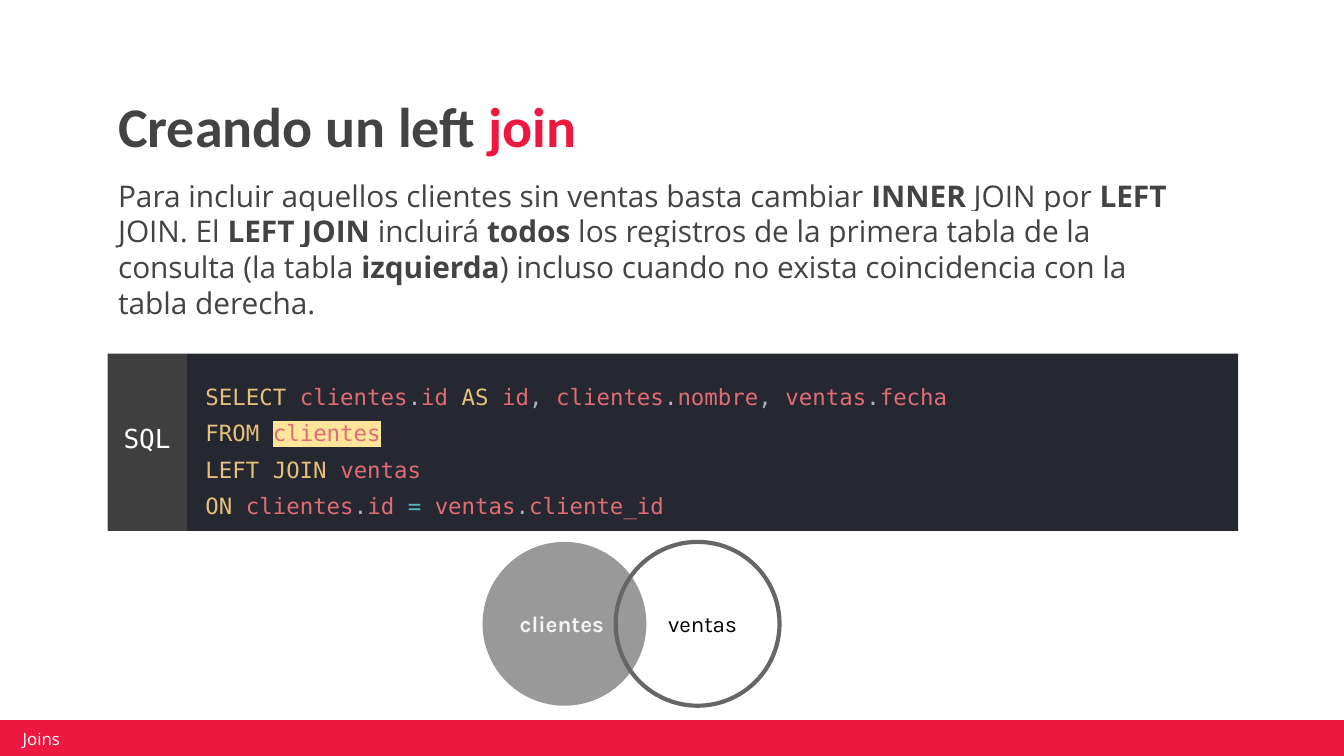
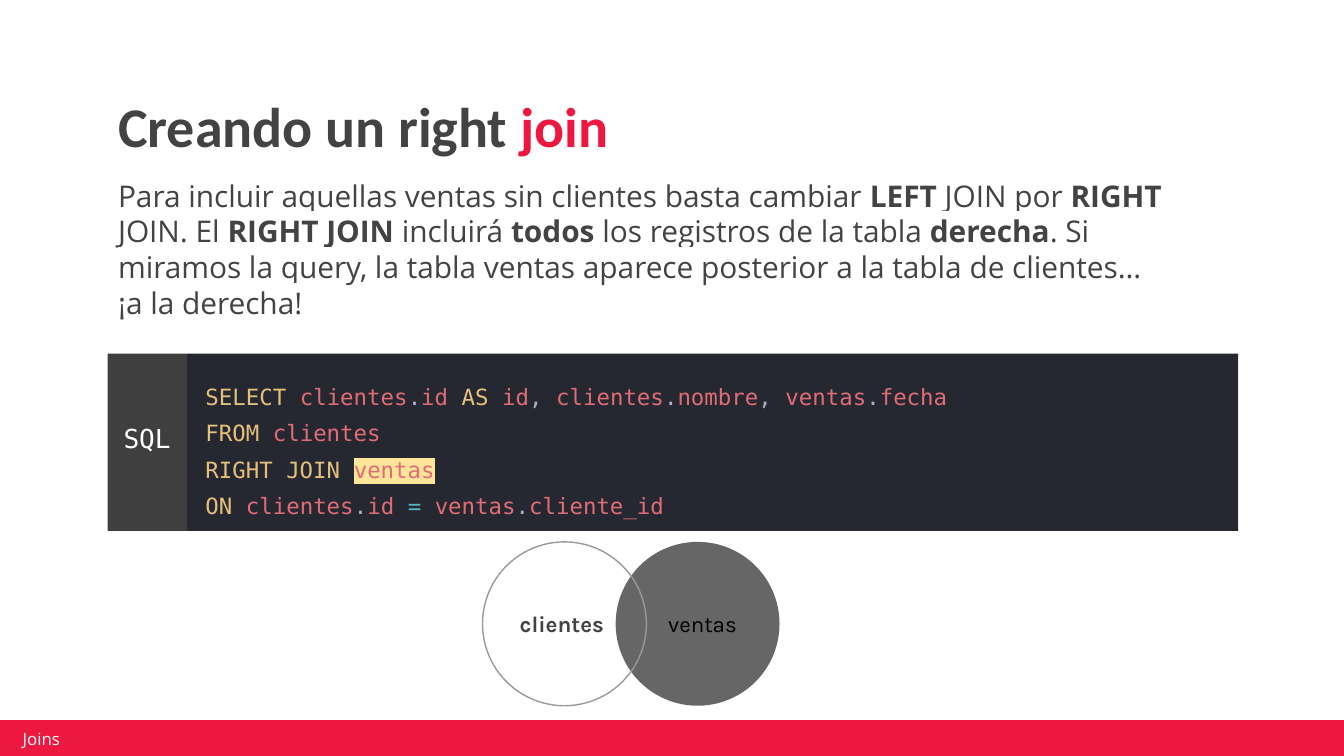
from lxml import etree
from pptx import Presentation
from pptx.dml.color import RGBColor
from pptx.enum.shapes import MSO_SHAPE
from pptx.enum.text import MSO_ANCHOR, PP_ALIGN
from pptx.oxml.ns import qn
from pptx.util import Pt

RECT, CIRCLE = MSO_SHAPE.RECTANGLE, MSO_SHAPE.FLOWCHART_CONNECTOR
TOP, MIDDLE, BOTTOM = MSO_ANCHOR.TOP, MSO_ANCHOR.MIDDLE, MSO_ANCHOR.BOTTOM
LEFT, CENTER, RIGHT = PP_ALIGN.LEFT, PP_ALIGN.CENTER, PP_ALIGN.RIGHT

WHITE = RGBColor(0xFF, 0xFF, 0xFF)
BLACK = RGBColor(0x00, 0x00, 0x00)
RED = RGBColor(0xEC, 0x18, 0x3F)
INK = RGBColor(0x43, 0x43, 0x43)
PALE = RGBColor(0xF3, 0xF3, 0xF3)
LIGHT_GRAY = RGBColor(0x99, 0x99, 0x99)
DARK_GRAY = RGBColor(0x66, 0x66, 0x66)
CODE_BG = RGBColor(0x26, 0x28, 0x31)
TAG_BG = RGBColor(0x3F, 0x3F, 0x3F)
KEYWORD = RGBColor(0xE5, 0xC0, 0x7B)
NAME = RGBColor(0xE0, 0x6C, 0x75)
PUNCT = RGBColor(0xAB, 0xB2, 0xBF)
OPERATOR = RGBColor(0x56, 0xB6, 0xC2)
MARKER = RGBColor(0xFF, 0xE5, 0x99)

HEAD, BODY, MONO, LABEL = "Calibri", "Open Sans", "DejaVu Sans Mono", "Karla"
INSETS = (7.2, 7.2, 7.2, 7.2)
CODE_TOP, CODE_H = 189.4, 95
CIRCLE_TOP, CIRCLE_D = 290.3, 87.8

# Code lines shared by both queries
SELECT_LINE = [
    ("SELECT ", KEYWORD), ("clientes", NAME), (".", PUNCT), ("id ", NAME),
    ("AS ", KEYWORD), ("id", NAME), (", ", PUNCT),
    ("clientes", NAME), (".", PUNCT), ("nombre", NAME), (", ", PUNCT),
    ("ventas", NAME), (".", PUNCT), ("fecha", NAME),
]
ON_LINE = [
    ("ON ", KEYWORD), ("clientes", NAME), (".", PUNCT), ("id ", NAME),
    ("= ", OPERATOR), ("ventas", NAME), (".", PUNCT), ("cliente_id", NAME),
]

# Asterisks enclose bold words; circles go from back to front:
# text, left, alignment, fill, line, line width, text colour, bold
SLIDES = [
    {
        "side": "left",
        "body": "Para incluir aquellos clientes sin ventas basta cambiar *INNER* JOIN por "
                "*LEFT* JOIN. El *LEFT JOIN* incluirá *todos* los registros de la primera "
                "tabla de la consulta (la tabla *izquierda*) incluso cuando no exista "
                "coincidencia con la tabla derecha.",
        "marked": "clientes",
        "circles": [
            ("clientes", 258.5, LEFT, LIGHT_GRAY, None, 0, PALE, True),
            ("ventas ", 329.8, RIGHT, None, DARK_GRAY, 2.25, BLACK, False),
        ],
    },
    {
        "side": "right",
        "body": "Para incluir aquellas ventas sin clientes basta cambiar *LEFT* JOIN por "
                "*RIGHT* JOIN. El *RIGHT JOIN* incluirá *todos* los registros de la tabla "
                "*derecha*. Si miramos la query, la tabla ventas aparece posterior a la "
                "tabla de clientes… ¡a la derecha!",
        "marked": "ventas",
        "circles": [
            ("ventas ", 329.8, RIGHT, DARK_GRAY, None, 0, BLACK, False),
            ("clientes", 258.5, LEFT, None, LIGHT_GRAY, 0.75, INK, True),
        ],
    },
]


def add_box(shapes, kind, at, fill=None, line=None, width=0, insets=INSETS, anchor=MIDDLE):
    """Add a shape, or a text box when kind is None, and return its text frame."""
    at = [Pt(v) for v in at]
    if kind is None:
        sp = shapes.add_textbox(*at)
    else:
        sp = shapes.add_shape(kind, *at)
        sp.shadow.inherit = False
        if fill is None:
            sp.fill.background()
        else:
            sp.fill.solid()
            sp.fill.fore_color.rgb = fill
        if line is None:
            sp.line.fill.background()
        else:
            sp.line.color.rgb = line
            sp.line.width = Pt(width)
    tf = sp.text_frame
    tf.word_wrap = True
    tf.vertical_anchor = anchor
    tf.margin_left, tf.margin_top, tf.margin_right, tf.margin_bottom = [Pt(v) for v in insets]
    tf.paragraphs[0].alignment = LEFT
    return tf


def add_run(p, text, size, font, color, bold=False, highlight=None):
    r = p.add_run()
    r.text = text
    r.font.size = Pt(size)
    r.font.name = font
    r.font.bold = bold
    r.font.color.rgb = color
    if highlight is not None:
        hl = etree.Element(qn("a:highlight"))
        etree.SubElement(hl, qn("a:srgbClr"), val=str(highlight))
        r.font.fill._xPr.find(qn("a:solidFill")).addnext(hl)


prs = Presentation()
prs.slide_width, prs.slide_height = Pt(720), Pt(405)

for page in SLIDES:
    s = prs.slides.add_slide(prs.slide_layouts[6])

    # Footer band
    add_box(s.shapes, RECT, (-1.4, 385.8, 722, 19.2), RED)
    tf = add_box(s.shapes, None, (8.6, 390.2, 172, 10.8), insets=(3.6, 1.8, 3.6, 1.8))
    add_run(tf.paragraphs[0], "Joins", 9, BODY, WHITE)

    # Title
    tf = add_box(s.shapes, None, (56.2, 43.2, 607, 49.7), anchor=BOTTOM)
    p = tf.paragraphs[0]
    p.line_spacing = 0.9
    add_run(p, f"Creando un {page['side']} ", 30, HEAD, INK, True)
    add_run(p, "join", 30, HEAD, RED, True)

    # Explanation
    tf = add_box(s.shapes, None, (56.2, 87.8, 579, 53.3), anchor=TOP)
    p = tf.paragraphs[0]
    p.space_before = Pt(6)
    for i, part in enumerate(page["body"].split("*")):
        add_run(p, part, 16, BODY, INK, i % 2 == 1, WHITE)

    # Query panel with its language tag
    panel = s.shapes.add_group_shape().shapes
    tf = add_box(panel, RECT, (100.1, CODE_TOP, 563.2, CODE_H), CODE_BG,
                 insets=(10, 11.5, 7.2, 7.2))
    code = [
        SELECT_LINE,
        [("FROM ", KEYWORD), ("clientes", NAME)],
        [(f"{page['side'].upper()} JOIN ", KEYWORD), ("ventas", NAME)],
        ON_LINE,
    ]
    for i, tokens in enumerate(code):
        p = tf.paragraphs[0] if i == 0 else tf.add_paragraph()
        p.alignment = LEFT
        p.line_spacing = 1.36
        for text, color in tokens:
            marked = i in (1, 2) and text == page["marked"]
            add_run(p, text, 12, MONO, color, highlight=MARKER if marked else None)

    tf = add_box(panel, RECT, (57.6, CODE_TOP, 42.5, CODE_H), TAG_BG,
                 insets=(7.2, 2.9, 7.2, 7.2))
    tf.paragraphs[0].alignment = CENTER
    add_run(tf.paragraphs[0], "SQL", 14, MONO, WHITE)

    # Venn diagram
    for text, left, align, fill, line, width, color, bold in page["circles"]:
        tf = add_box(s.shapes, CIRCLE, (left, CIRCLE_TOP, CIRCLE_D, CIRCLE_D), fill, line, width)
        tf.paragraphs[0].alignment = align
        add_run(tf.paragraphs[0], text, 12, LABEL, color, bold)

prs.save("out.pptx")
